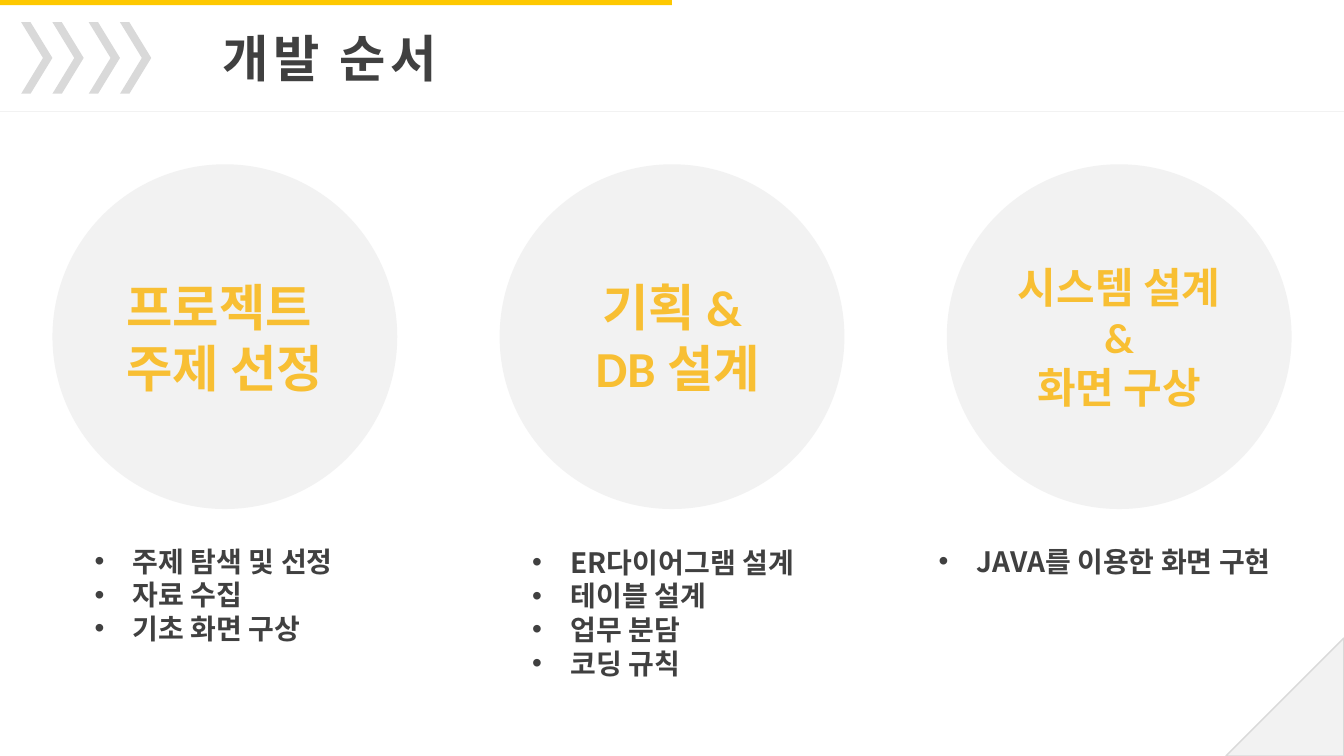
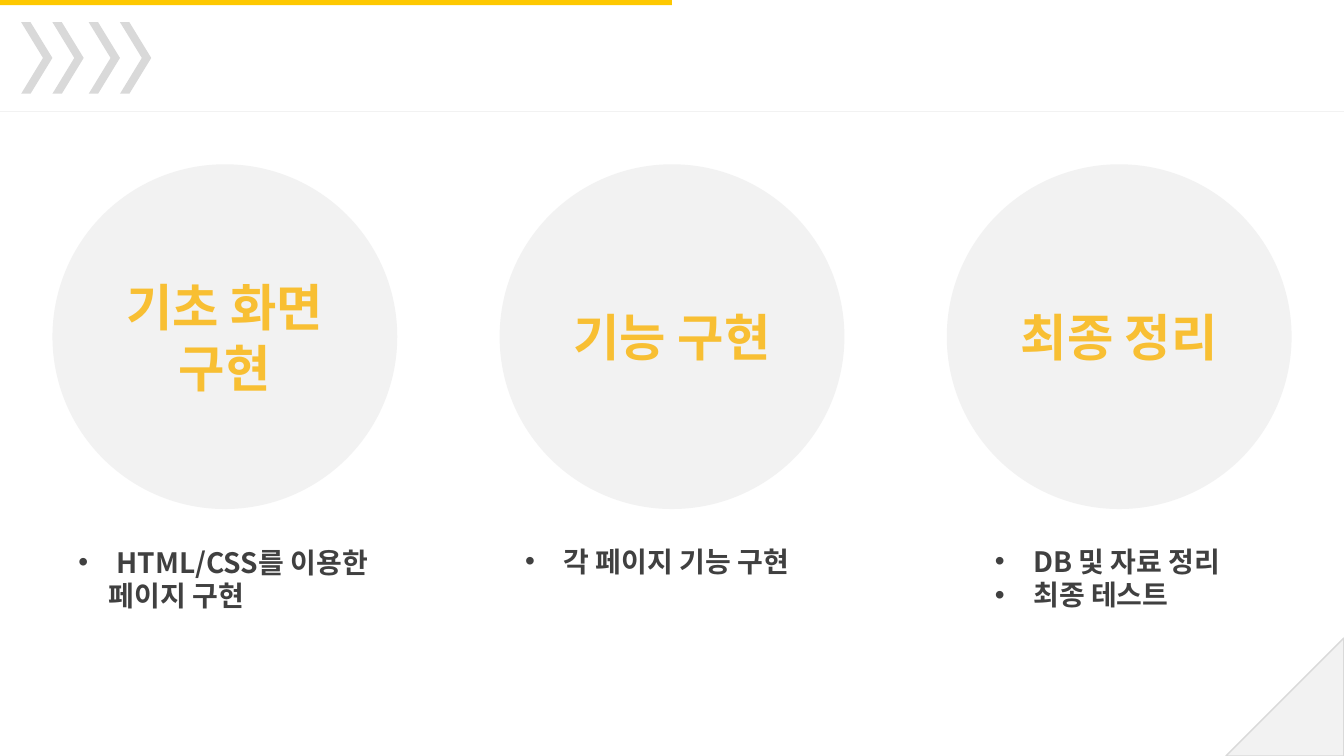
from lxml.etree import SubElement
from pptx import Presentation
from pptx.dml.color import RGBColor
from pptx.enum.shapes import MSO_CONNECTOR, MSO_SHAPE
from pptx.enum.text import MSO_ANCHOR, MSO_AUTO_SIZE, PP_ALIGN
from pptx.oxml.ns import qn
from pptx.util import Inches, Pt

# Shared style
WIDTH, HEIGHT = 13.33, 7.5
YELLOW, GOLD = "FEC800", "F8BF33"
DARK, GRAY, PALE = "404040", "D9D9D9", "F2F2F2"
KOREAN, LATIN = "Noto Sans CJK KR", "Calibri"

# Three equally spaced circles
CIRCLE, CIRCLE_TOP, MARGIN = 3.42, 1.63, 0.52
PITCH = (WIDTH - 2 * MARGIN - CIRCLE) / 2

# Bullet hanging indent, and indent of a continuation line
HANG, CONTINUED = 0.38, 0.3

# Each step: circle lines, circle text size, list (left, top, width), list items
SLIDES = [
    ("개발 순서", [
        (["프로젝트 ", "주제 선정"], 36, (0.84, 5.35, 2.84),
         ["주제 탐색 및 선정", "자료 수집", "기초 화면 구상"]),
        (["기획 &", " DB 설계"], 36, (5.18, 5.36, 2.98),
         ["ER다이어그램 설계", "테이블 설계", "업무 분담", "코딩 규칙"]),
        (["시스템 설계", " & ", "화면 구상"], 30, (9.21, 5.35, 3.78),
         ["JAVA를 이용한 화면 구현"]),
    ]),
    (None, [
        (["기초 화면 구현"], 36, (0.68, 5.36, 3.21),
         ["HTML/CSS를 이용한", "\t페이지 구현"]),
        (["기능 구현"], 36, (5.11, 5.35, 3.12), ["각 페이지 기능 구현"]),
        (["최종 정리"], 36, (9.77, 5.35, 2.67), ["DB 및 자료 정리", "최종 테스트"]),
    ]),
]


def rgb(value):
    return RGBColor.from_string(value)


def add_block(shapes, kind, left, top, width, height, fill, line=None):
    block = shapes.add_shape(kind, Inches(left), Inches(top), Inches(width), Inches(height))
    block.shadow.inherit = False
    block.fill.solid()
    block.fill.fore_color.rgb = rgb(fill)
    if line:
        block.line.color.rgb = rgb(line)
        block.line.width = Pt(1)
    else:
        block.line.fill.background()
    return block


def add_label(slide, left, top, width, height):
    label = slide.shapes.add_textbox(Inches(left), Inches(top), Inches(width), Inches(height))
    label.text_frame.word_wrap = False
    label.text_frame.auto_size = MSO_AUTO_SIZE.SHAPE_TO_FIT_TEXT
    return label.text_frame


def write(paragraph, text, size, color, latin=KOREAN, align=PP_ALIGN.LEFT):
    paragraph.text = text
    paragraph.alignment = align
    for run in paragraph.runs:
        run.font.size = Pt(size)
        run.font.bold = True
        run.font.color.rgb = rgb(color)
        run.font.name = latin
        SubElement(run.font._element, qn("a:ea")).set("typeface", KOREAN)


def paragraphs(frame, count):
    return [frame.paragraphs[0]] + [frame.add_paragraph() for _ in range(count - 1)]


def indent(paragraph, margin, first_line=0.0):
    properties = paragraph._p.get_or_add_pPr()
    properties.set("marL", str(Inches(margin)))
    properties.set("indent", str(Inches(first_line)))
    return properties


def add_frame(slide):
    # Folded corner and top band
    corner = add_block(slide.shapes, MSO_SHAPE.RIGHT_TRIANGLE, WIDTH - 1.17, HEIGHT - 1.17,
                       1.17, 1.17, PALE, GRAY)
    corner._element.spPr.get_or_add_xfrm().set("flipH", "1")
    add_block(slide.shapes, MSO_SHAPE.RECTANGLE, 0, 0, WIDTH / 2, 0.05, YELLOW)

    # Rule below the header
    rule = slide.shapes.add_connector(MSO_CONNECTOR.STRAIGHT, 0, Inches(1.1),
                                      Inches(WIDTH), Inches(1.1))
    rule.line.color.rgb = rgb(PALE)
    rule.line.width = Pt(0.5)
    SubElement(rule._element.spPr, qn("a:effectLst"))

    # Two pairs of chevrons
    for pair_left in (0.21, 0.88):
        pair = slide.shapes.add_group_shape()
        for index in range(2):
            chevron = add_block(pair.shapes, MSO_SHAPE.CHEVRON, pair_left + index * 0.31,
                                0.22, 0.31, 0.71, GRAY)
            chevron.adjustments[0] = 0.7


def add_title(slide, text):
    title = add_label(slide, 1.82, 0.22, 2.61, 0.71).paragraphs[0]
    write(title, text, 36, DARK, align=PP_ALIGN.RIGHT)
    title.runs[0].font._element.set("spc", "300")


def add_circle(slide, column, lines, size):
    circle = add_block(slide.shapes, MSO_SHAPE.OVAL, MARGIN + column * PITCH, CIRCLE_TOP,
                       CIRCLE, CIRCLE, PALE)
    frame = circle.text_frame
    frame.word_wrap = True
    frame.vertical_anchor = MSO_ANCHOR.MIDDLE
    for paragraph, line in zip(paragraphs(frame, len(lines)), lines):
        write(paragraph, line, size, GOLD, LATIN, PP_ALIGN.CENTER)


def add_list(slide, place, items):
    frame = add_label(slide, *place, 0.1 + len(items) / 3)
    for paragraph, item in zip(paragraphs(frame, len(items)), items):
        # A leading tab marks a line that continues the item above
        if item.startswith("\t"):
            indent(paragraph, CONTINUED)
        else:
            properties = indent(paragraph, HANG, -HANG)
            SubElement(properties, qn("a:buFont")).set("typeface", "Arial")
            SubElement(properties, qn("a:buChar")).set("char", "•")
        write(paragraph, item.strip(), 20, DARK)


def main():
    deck = Presentation()
    deck.slide_width, deck.slide_height = Inches(WIDTH), Inches(HEIGHT)
    for title, steps in SLIDES:
        slide = deck.slides.add_slide(deck.slide_layouts[6])
        add_frame(slide)
        if title:
            add_title(slide, title)
        for column, (lines, size, place, items) in enumerate(steps):
            add_circle(slide, column, lines, size)
            add_list(slide, place, items)
    deck.save("out.pptx")


if __name__ == "__main__":
    main()
